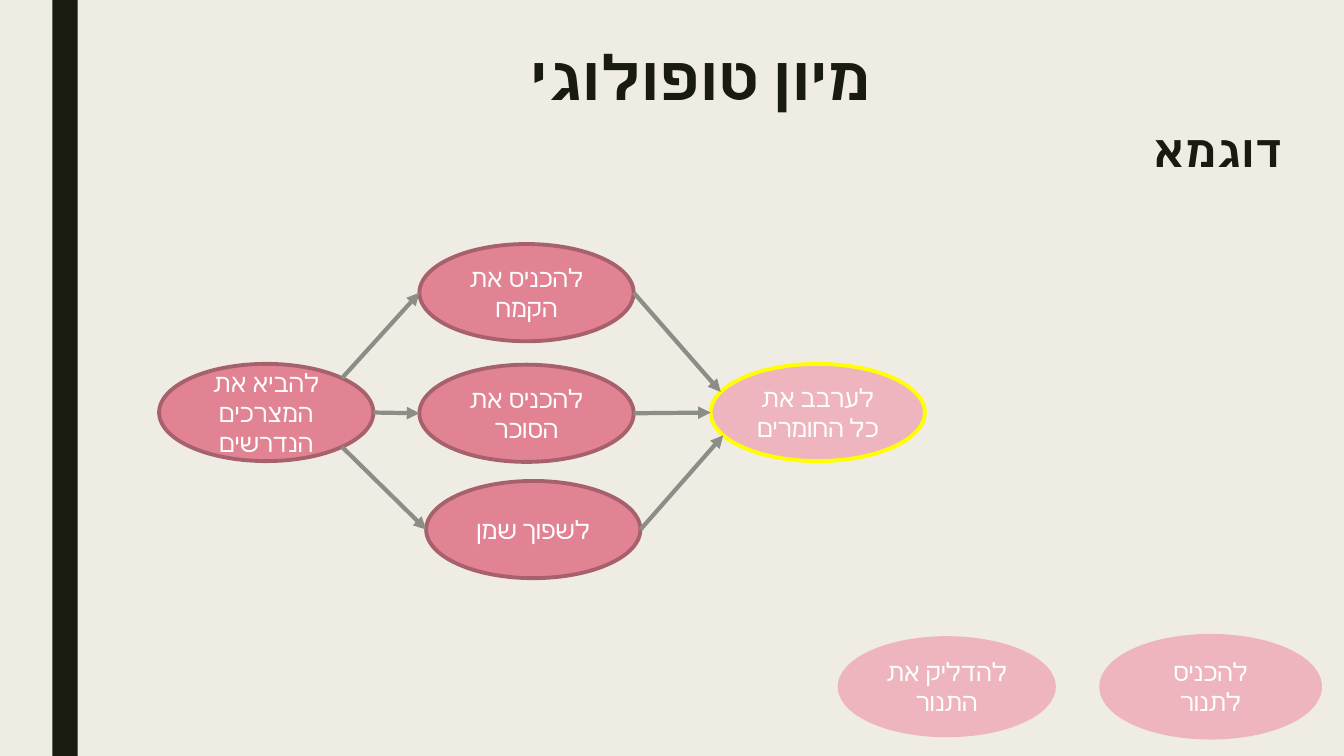
import math

import pptx
import pptx.dml.color
import pptx.enum.shapes
import pptx.enum.text
import pptx.oxml.ns
import pptx.util
from lxml import etree

Cm, Pt = pptx.util.Cm, pptx.util.Pt
RGBColor = pptx.dml.color.RGBColor
KIND = pptx.enum.shapes.MSO_SHAPE
ANCHOR = pptx.enum.text.MSO_ANCHOR
ALIGN = pptx.enum.text.PP_ALIGN
qn = pptx.oxml.ns.qn

CREAM = RGBColor(0xEF, 0xED, 0xE3)
DARK = RGBColor(0x19, 0x1B, 0x0E)
ROSE = RGBColor(0xE2, 0x83, 0x94)
WINE = RGBColor(0xA7, 0x61, 0x6D)
PINK = RGBColor(0xEE, 0xB5, 0xBF)
YELLOW = RGBColor(0xFF, 0xFF, 0x00)
GRAY = RGBColor(0x8C, 0x8D, 0x86)
WHITE = RGBColor(0xFF, 0xFF, 0xFF)


def write(frame, text, size, color, bold=False):
    frame.text = text
    frame.word_wrap = True
    font = frame.paragraphs[0].runs[0].font
    font.size, font.bold = Pt(size), bold
    font.color.rgb = color
    font.name = "Calibri"
    # Hebrew letters take the complex-script font
    etree.SubElement(font._element, qn("a:cs"), typeface="Calibri")


def site(name, angle):
    """Point on a step's ellipse, at degrees clockwise from its right end."""
    left, top = STEPS[name][1:3]
    turn = math.radians(angle)
    return (Cm(left + WIDE / 2 * (1 + math.cos(turn))),
            Cm(top + HIGH / 2 * (1 + math.sin(turn))))


deck = pptx.Presentation()
deck.slide_width, deck.slide_height = Cm(33.87), Cm(19.05)
slide = deck.slides.add_slide(deck.slide_layouts[5])
slide.background.fill.solid()
slide.background.fill.fore_color.rgb = CREAM
shapes = slide.shapes

band = shapes.add_shape(KIND.RECTANGLE, Cm(1.32), 0, Cm(0.64), deck.slide_height)
band.shadow.inherit = False
band.fill.solid()
band.fill.fore_color.rgb = DARK
band.line.fill.background()

# Headings
title = shapes.title
title.left, title.top, title.width, title.height = Cm(11.05), Cm(2.97), Cm(21.54), Cm(3.18)
topic = shapes.add_textbox(Cm(1.47), Cm(0.94), Cm(32.4), Cm(2.18))
for box, text, size, anchor, align in (
    (title, "דוגמא", 32, ANCHOR.TOP, ALIGN.RIGHT),
    (topic, "מיון טופולוגי", 44, ANCHOR.MIDDLE, ALIGN.CENTER),
):
    frame = box.text_frame
    write(frame, text, size, DARK, bold=True)
    frame.auto_size = pptx.enum.text.MSO_AUTO_SIZE.NONE
    frame.vertical_anchor = anchor
    frame.paragraphs[0].alignment = align
    frame.paragraphs[0]._p.get_or_add_pPr().set("rtl", "1")
topic.text_frame.paragraphs[0].line_spacing = 0.89

# Steps: text, left, top, fill, line, line width
WIDE, HIGH = 5.4, 2.45
STEPS = {
    "bake": ("להכניס לתנור", 27.81, 16.08, PINK, PINK, 6),
    "heat": ("להדליק את התנור", 21.16, 16.08, PINK, PINK, 2.75),
    "bring": ("להביא את המצרכים הנדרשים", 4.01, 9.17, ROSE, WINE, 2.75),
    "flour": ("להכניס את הקמח", 10.57, 6.15, ROSE, WINE, 2.75),
    "sugar": ("להכניס את הסוכר", 10.57, 9.19, ROSE, WINE, 2.75),
    "oil": ("לשפוך שמן", 10.74, 12.12, ROSE, WINE, 2.75),
    "mix": ("לערבב את כל החומרים", 17.91, 9.17, PINK, YELLOW, 2.75),
}
for text, left, top, fill, edge, weight in STEPS.values():
    oval = shapes.add_shape(KIND.OVAL, Cm(left), Cm(top), Cm(WIDE), Cm(HIGH))
    oval.shadow.inherit = False
    oval.fill.solid()
    oval.fill.fore_color.rgb = fill
    oval.line.color.rgb = edge
    oval.line.width = Pt(weight)
    write(oval.text_frame, text, 18, WHITE)
    oval.text_frame.vertical_anchor = ANCHOR.MIDDLE
    oval.text_frame.paragraphs[0].alignment = ALIGN.CENTER

# Arrows: from step, angle, to step, angle
for start, out, end, into in (
    ("bring", -45, "flour", 180),
    ("bring", 0, "sugar", 180),
    ("bring", 45, "oil", 180),
    ("flour", 0, "mix", 205),
    ("sugar", 0, "mix", 180),
    ("oil", 0, "mix", 152),
):
    arrow = shapes.add_connector(pptx.enum.shapes.MSO_CONNECTOR.STRAIGHT,
                                 *site(start, out), *site(end, into))
    arrow.line.color.rgb = GRAY
    arrow.line.width = Pt(3)
    etree.SubElement(arrow.line._get_or_add_ln(), qn("a:tailEnd"), type="triangle")
    etree.SubElement(arrow._element.spPr, qn("a:effectLst"))

deck.save("out.pptx")
